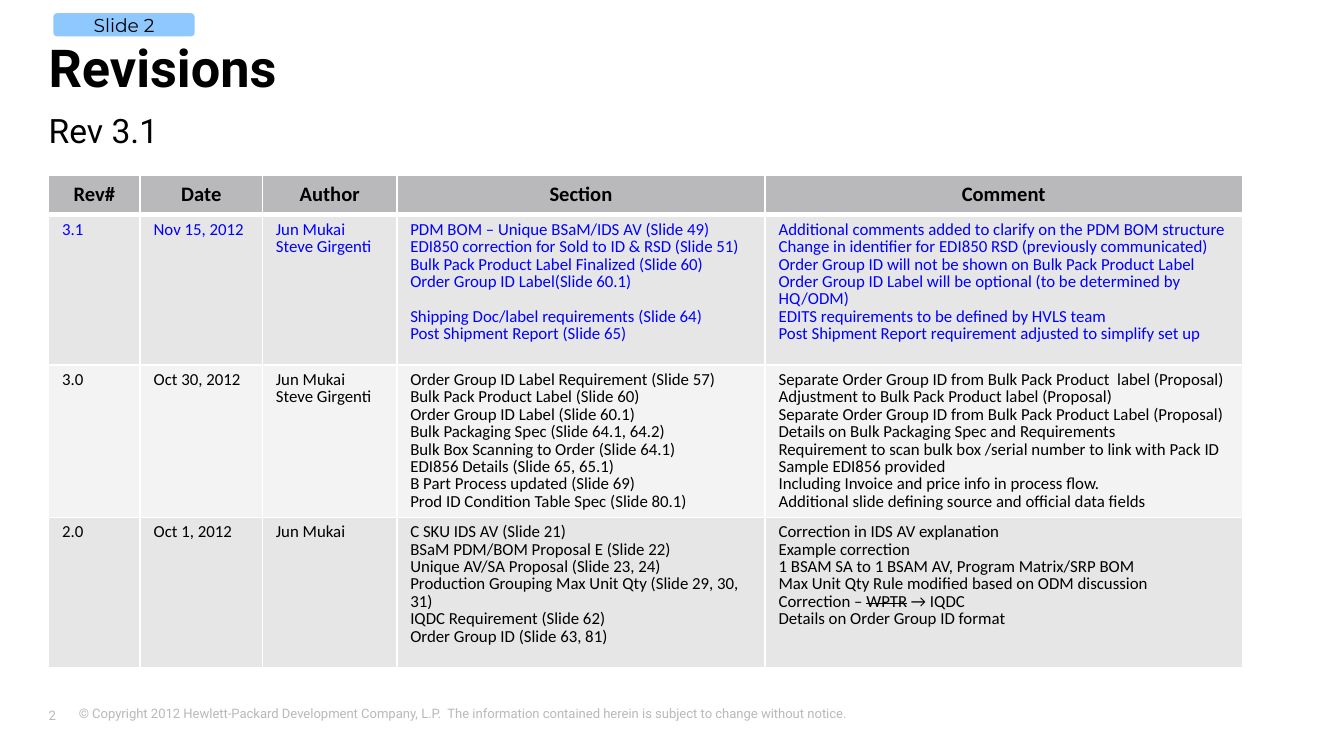
from lxml import etree
from pptx import Presentation
from pptx.dml.color import RGBColor
from pptx.enum.shapes import MSO_SHAPE
from pptx.enum.text import MSO_ANCHOR, MSO_AUTO_SIZE, PP_ALIGN
from pptx.oxml.ns import qn
from pptx.util import Cm, Pt

TOP, MIDDLE = MSO_ANCHOR.TOP, MSO_ANCHOR.MIDDLE
LEFT, CENTER = PP_ALIGN.LEFT, PP_ALIGN.CENTER
NO_FIT = MSO_AUTO_SIZE.NONE
ROUNDED = MSO_SHAPE.ROUNDED_RECTANGLE

BLACK, WHITE, BLUE, GREY = "000000", "FFFFFF", "0000FF", "B9B8BB"
DARK_BAND, LIGHT_BAND = "E6E6E7", "F3F3F3"

TITLE = dict(name="Roboto", size=Pt(28), bold=True)
SUBTITLE = dict(name="Roboto", size=Pt(18), bold=False)
FOOTER = dict(name="Roboto", size=Pt(7))
BADGE = dict(name="Montserrat", size=Pt(10))
HEAD = dict(name="Calibri", size=Pt(11), bold=True)
BODY = dict(name="Calibri", size=Pt(9), bold=False)

LINE_SPACING = 0.85
SKIPPED_LINE = Pt(9.3)
MARGIN, CONTENT_W = 0.92, 22.56
COL_WIDTHS = [1.73, 2.31, 2.54, 6.96, 9.02]
ROW_HEIGHTS = [0.74, 2.84, 2.84, 2.84]

HEADINGS = ["Rev#", "Date", "Author", "Section", "Comment"]
# A line starting with "^" leaves one line free above it; "~" encloses struck text
REVISIONS = [
    (BLUE, DARK_BAND, ["3.1", "Nov 15, 2012", "Jun Mukai\nSteve Girgenti",
     """PDM BOM – Unique BSaM/IDS AV (Slide 49)
EDI850 correction for Sold to ID & RSD (Slide 51)
Bulk Pack Product Label Finalized (Slide 60)
Order Group ID Label(Slide 60.1)
^Shipping Doc/label requirements (Slide 64)
Post Shipment Report (Slide 65)""",
     """Additional comments added to clarify on the PDM BOM structure
Change in identifier for EDI850 RSD (previously communicated)
Order Group ID will not be shown on Bulk Pack Product Label
Order Group ID Label will be optional (to be determined by HQ/ODM)
EDITS requirements to be defined by HVLS team
Post Shipment Report requirement adjusted to simplify set up"""]),
    (BLACK, LIGHT_BAND, ["3.0", "Oct 30, 2012", "Jun Mukai\nSteve Girgenti",
     """Order Group ID Label Requirement (Slide 57)
Bulk Pack Product Label (Slide 60)
Order Group ID Label (Slide 60.1)
Bulk Packaging Spec (Slide 64.1, 64.2)
Bulk Box Scanning to Order (Slide 64.1)
EDI856 Details (Slide 65, 65.1)
B Part Process updated (Slide 69)
Prod ID Condition Table Spec (Slide 80.1)""",
     """Separate Order Group ID from Bulk Pack Product  label (Proposal)
Adjustment to Bulk Pack Product label (Proposal)
Separate Order Group ID from Bulk Pack Product Label (Proposal)
Details on Bulk Packaging Spec and Requirements
Requirement to scan bulk box /serial number to link with Pack ID
Sample EDI856 provided
Including Invoice and price info in process flow.
Additional slide defining source and official data fields"""]),
    (BLACK, DARK_BAND, ["2.0", "Oct 1, 2012", "Jun Mukai",
     """C SKU IDS AV (Slide 21)
BSaM PDM/BOM Proposal E (Slide 22)
Unique AV/SA Proposal (Slide 23, 24)
Production Grouping Max Unit Qty (Slide 29, 30, 31)
IQDC Requirement (Slide 62)
Order Group ID (Slide 63, 81)""",
     """Correction in IDS AV explanation
Example correction
1 BSAM SA to 1 BSAM AV, Program Matrix/SRP BOM
Max Unit Qty Rule modified based on ODM discussion
Correction – ~WPTR~ → IQDC
Details on Order Group ID format"""]),
]


def rgb(color):
    return RGBColor.from_string(color)


def set_font(font, fmt, color):
    for key, value in fmt.items():
        setattr(font, key, value)
    font.color.rgb = rgb(color)


def set_text(sp, text, fmt, color=BLACK, align=LEFT, anchor=TOP, wrap=True, margins=(0, 0, 0, 0)):
    tf = sp.text_frame
    tf.auto_size, tf.word_wrap, tf.vertical_anchor = NO_FIT, wrap, anchor
    for side, value in zip(("left", "top", "right", "bottom"), margins):
        setattr(tf, f"margin_{side}", Cm(value))
    p = tf.paragraphs[0]
    p.alignment = align
    p.space_before = Pt(0)
    r = p.add_run()
    r.text = text
    set_font(r.font, fmt, color)
    return p


def place(sp, box):
    sp.left, sp.top, sp.width, sp.height = map(Cm, box)


def fill_headings(s, title_box, subtitle_box):
    title, subtitle = s.shapes.title, s.placeholders[1]
    place(title, title_box)
    place(subtitle, subtitle_box)
    set_text(title, "Revisions", TITLE)
    set_text(subtitle, "Rev 3.1", SUBTITLE).space_after = Pt(4)


def add_badge(s, box):
    sp = s.shapes.add_shape(ROUNDED, *map(Cm, box))
    sp.shadow.inherit = False
    sp.fill.solid()
    sp.fill.fore_color.rgb = rgb("3399FF")
    sp.line.fill.background()
    color = sp.fill._xPr.find(".//" + qn("a:srgbClr"))
    etree.SubElement(color, qn("a:alpha"), val="55000")
    set_text(sp, "Slide 2", BADGE, align=CENTER, anchor=MIDDLE)


def set_borders(cell, top, bottom):
    tc_pr = cell._tc.get_or_add_tcPr()
    for side, width in (("L", 1), ("R", 1), ("T", top), ("B", bottom)):
        ln = etree.SubElement(tc_pr, qn(f"a:ln{side}"), w=str(Pt(width)))
        fill = etree.SubElement(ln, qn("a:solidFill"))
        etree.SubElement(fill, qn("a:srgbClr"), val=WHITE)


def fill_cell(cell, text, fmt, color, band, align=LEFT, anchor=TOP):
    cell.fill.solid()
    cell.fill.fore_color.rgb = rgb(band)
    cell.vertical_anchor = anchor
    tf = cell.text_frame
    for i, line in enumerate(text.split("\n")):
        p = tf.add_paragraph() if i else tf.paragraphs[0]
        p.alignment, p.line_spacing = align, LINE_SPACING
        if line.startswith("^"):
            p.space_before = SKIPPED_LINE
        for j, part in enumerate(line.lstrip("^").split("~")):
            r = p.add_run()
            r.text = part
            set_font(r.font, fmt, color)
            if j % 2:
                r._r.get_or_add_rPr().set("strike", "sngStrike")


def add_revision_table(s, box):
    rows, cols = len(ROW_HEIGHTS), len(COL_WIDTHS)
    table = s.shapes.add_table(rows, cols, *map(Cm, box)).table
    for column, width in zip(table.columns, COL_WIDTHS):
        column.width = Cm(width)
    for i, height in enumerate(ROW_HEIGHTS):
        table.rows[i].height = Cm(height)
        for cell in table.rows[i].cells:
            set_borders(cell, top=3 if i == 1 else 1, bottom=3 if i == 0 else 1)
    for cell, heading in zip(table.rows[0].cells, HEADINGS):
        fill_cell(cell, heading, HEAD, BLACK, GREY, CENTER, MIDDLE)
    for i, (color, band, texts) in enumerate(REVISIONS, 1):
        for cell, text in zip(table.rows[i].cells, texts):
            fill_cell(cell, text, BODY, color, band)


def add_footer(s, number_box, notice_box):
    notice = s.shapes.add_textbox(*map(Cm, notice_box))
    set_text(notice, "© Copyright 2012 Hewlett-Packard Development Company, L.P.  "
             "The information contained herein is subject to change without notice.",
             FOOTER, GREY, margins=(0.25, 0.13, 0.25, 0.13))
    number = s.shapes.add_textbox(*map(Cm, number_box))
    set_text(number, "2", FOOTER, GREY, anchor=MIDDLE, wrap=False, margins=(0, 0.13, 0.25, 0.13))


def main():
    prs = Presentation()
    prs.slide_width, prs.slide_height = Cm(25.4), Cm(14.29)
    s = prs.slides.add_slide(prs.slide_layouts[0])
    add_footer(s, (MARGIN, 13.31, 0.89, 0.41), (1.24, 13.21, 22.25, 0.64))
    add_revision_table(s, (MARGIN, 3.32, CONTENT_W, sum(ROW_HEIGHTS)))
    fill_headings(s, (MARGIN, 0.66, CONTENT_W, 1.19), (MARGIN, 2.08, CONTENT_W, 0.76))
    add_badge(s, (1.01, 0.25, 2.67, 0.44))
    prs.save("out.pptx")


if __name__ == "__main__":
    main()
